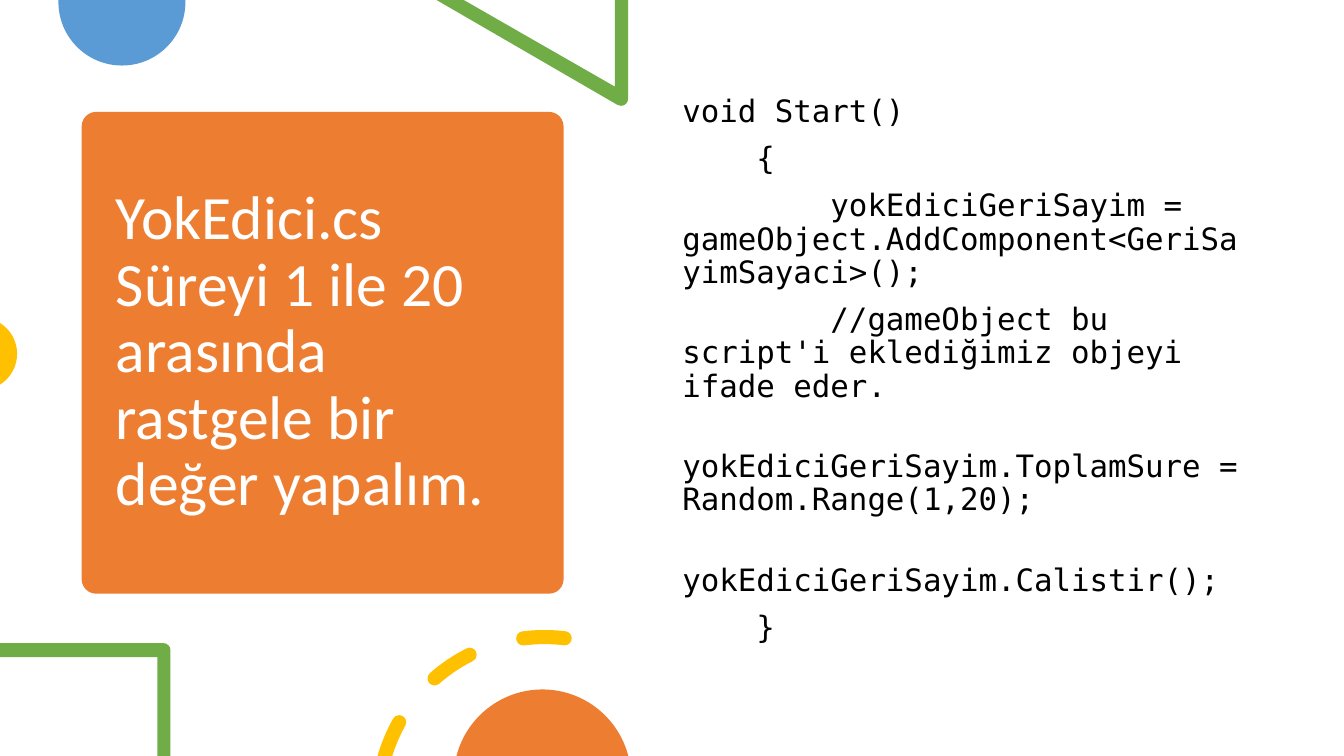
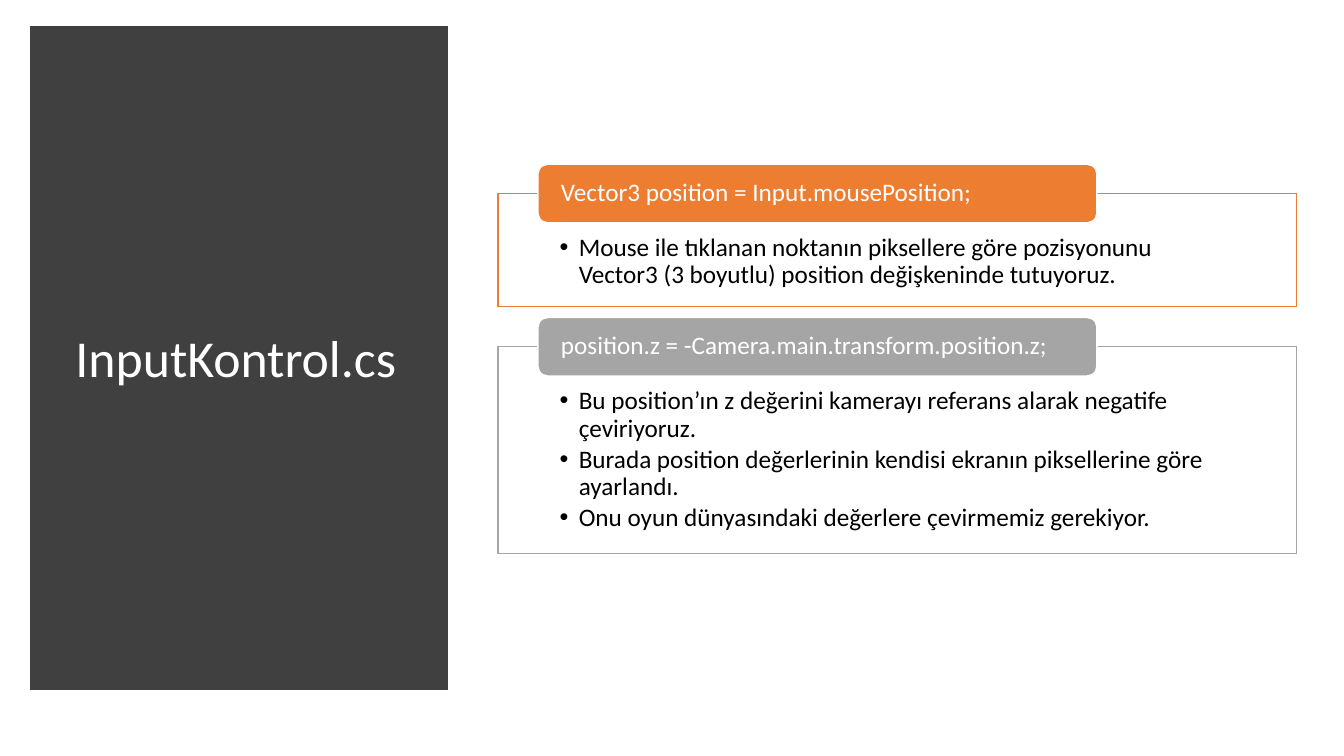
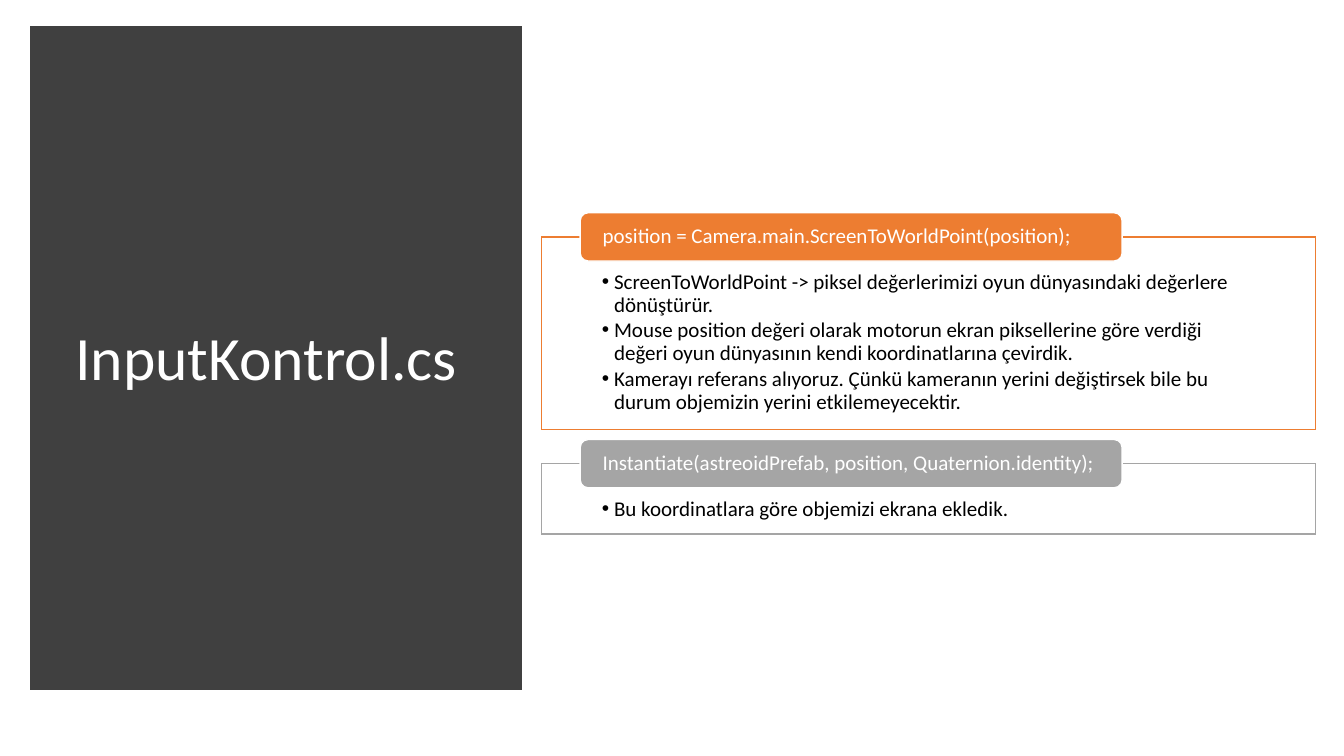
import math

from lxml import etree
from pptx import Presentation
from pptx.dml.color import RGBColor
from pptx.enum.shapes import MSO_SHAPE
from pptx.enum.text import MSO_ANCHOR, PP_ALIGN
from pptx.oxml.ns import qn
from pptx.util import Inches, Pt

RECTANGLE = MSO_SHAPE.RECTANGLE
ROUNDED = MSO_SHAPE.ROUNDED_RECTANGLE
TOP, MIDDLE = MSO_ANCHOR.TOP, MSO_ANCHOR.MIDDLE
LEFT = PP_ALIGN.LEFT

# Shared look
SLIDE_WIDTH, SLIDE_HEIGHT = 13.33, 7.5
WHITE, BLACK, CHARCOAL = "FFFFFF", "000000", "404040"
ORANGE, GRAY, BLUE, GREEN, YELLOW = "ED7D31", "A5A5A5", "5B9BD5", "70AD47", "FFC000"
BODY_FONT, CODE_FONT, BULLET_FONT = "Calibri", "DejaVu Sans Mono", "Arial"
DEFAULT_INSETS = (0.1, 0.05, 0.1, 0.05)
LINE_SPACING = 0.9

CODE_LINES = [
    "void Start()",
    "    {",
    "        yokEdiciGeriSayim = gameObject.AddComponent<GeriSayimSayaci>();",
    "        //gameObject bu script'i eklediğimiz objeyi ifade eder.",
    "        yokEdiciGeriSayim.ToplamSure = Random.Range(1,20);",
    "        yokEdiciGeriSayim.Calistir();",
    "    }",
]

# Each card: accent colour, body height, heading, bullets
MOUSE_CARDS = [
    (ORANGE, 1.12, "Vector3 position = Input.mousePosition;", [
        "Mouse ile tıklanan noktanın piksellere göre pozisyonunu Vector3 (3 boyutlu) "
        "position değişkeninde tutuyoruz.",
    ]),
    (GRAY, 2.05, "position.z = -Camera.main.transform.position.z;", [
        "Bu position’ın z değerini kamerayı referans alarak negatife çeviriyoruz.",
        "Burada position değerlerinin kendisi ekranın piksellerine göre ayarlandı.",
        "Onu oyun dünyasındaki değerlere çevirmemiz gerekiyor.",
    ]),
]
WORLD_CARDS = [
    (ORANGE, 1.91, "position = Camera.main.ScreenToWorldPoint(position);", [
        "ScreenToWorldPoint -> piksel değerlerimizi oyun dünyasındaki değerlere dönüştürür.",
        "Mouse position değeri olarak motorun ekran piksellerine göre verdiği değeri "
        "oyun dünyasının kendi koordinatlarına çevirdik.",
        "Kamerayı referans alıyoruz. Çünkü kameranın yerini değiştirsek bile bu durum "
        "objemizin yerini etkilemeyecektir.",
    ]),
    (GRAY, 0.7, "Instantiate(astreoidPrefab, position, Quaternion.identity);", [
        "Bu koordinatlara göre objemizi ekrana ekledik.",
    ]),
]


def color(value):
    return RGBColor.from_string(value)


def paint(shape, fill, line=None, line_width=1):
    """Give a shape a flat fill and an optional sharp-cornered outline."""
    shape.shadow.inherit = False
    shape.fill.solid()
    shape.fill.fore_color.rgb = color(fill)
    if line:
        shape.line.color.rgb = color(line)
        shape.line.width = Pt(line_width)
        outline = shape._element.spPr.find(qn("a:ln"))
        etree.SubElement(outline, qn("a:miter")).set("lim", "800000")
    else:
        shape.line.fill.background()


def add_box(slide, kind, box, fill, line=None, line_width=1):
    shape = slide.shapes.add_shape(kind, *map(Inches, box))
    paint(shape, fill, line, line_width)
    return shape


def write(shape, texts, size, text_color, font=BODY_FONT, anchor=TOP,
          insets=DEFAULT_INSETS, space_before=0, space_after=0, bullet_indent=0):
    """Fill a shape or text box with equally formatted paragraphs."""
    frame = shape.text_frame
    left, top, right, bottom = map(Inches, insets)
    frame_format = {
        "word_wrap": True, "vertical_anchor": anchor, "margin_left": left,
        "margin_top": top, "margin_right": right, "margin_bottom": bottom,
    }
    for name, value in frame_format.items():
        setattr(frame, name, value)
    for index, text in enumerate(texts):
        paragraph = frame.add_paragraph() if index else frame.paragraphs[0]
        paragraph.text = text
        paragraph_format = {
            "alignment": LEFT, "line_spacing": LINE_SPACING,
            "space_before": Pt(space_before if index else 0),
            "space_after": Pt(space_after),
        }
        for name, value in paragraph_format.items():
            setattr(paragraph, name, value)
        if bullet_indent:
            add_bullet(paragraph, bullet_indent)
        for run in paragraph.runs:
            for name, value in {"name": font, "size": Pt(size)}.items():
                setattr(run.font, name, value)
            run.font.color.rgb = color(text_color)


def add_bullet(paragraph, indent):
    properties = paragraph._p.get_or_add_pPr()
    properties.set("marL", str(Inches(indent)))
    properties.set("indent", str(-Inches(indent)))
    etree.SubElement(properties, qn("a:buFont")).set("typeface", BULLET_FONT)
    etree.SubElement(properties, qn("a:buChar")).set("char", "•")


def add_text(slide, box, texts, size, text_color, **options):
    write(slide.shapes.add_textbox(*map(Inches, box)), texts, size, text_color, **options)


# Outlines: a contour is a list of segments, each one point (a line)
# or two control points and an end point (a curve)
def lines(*points):
    return [[point] for point in points]


def arc(center, radius, start, end):
    """A line to the start of an arc, then curves split at each quarter turn.

    Degrees run counterclockwise from the right.
    """
    low, high = sorted((start, end))
    quarters = [angle for angle in range(-360, 721, 90) if low < angle < high]
    stops = sorted([start, *quarters, end], reverse=start > end)

    def at(angle, along=0):
        cosine, sine = math.cos(math.radians(angle)), math.sin(math.radians(angle))
        return (center[0] + radius * (cosine - along * sine),
                center[1] - radius * (sine + along * cosine))

    segments = lines(at(start))
    for first, last in zip(stops, stops[1:]):
        reach = 4 / 3 * math.tan(math.radians(last - first) / 4)
        segments.append([at(first, reach), at(last, -reach), at(last)])
    return segments


def ring_dash(center, radius, thickness, start, end, cut=None):
    """A round-ended piece of a ring; cut gives outer and inner ends instead of a cap."""
    half = thickness / 2
    outer_end, inner_end = cut or (end, end)
    [first_end], [last_end] = arc(center, radius, start, start)[0], arc(center, radius, end, end)[0]
    outer = arc(center, radius + half, start, outer_end)
    inner = arc(center, radius - half, inner_end, start)
    if not cut:
        inner = arc(last_end, half, end, end + 180)[1:] + inner[1:]
    return outer + inner + arc(first_end, half, start + 180, start + 360)[1:]


def add_outline(slide, fill, *contours):
    """Draw closed contours as one shape."""
    builder = None
    for contour in contours:
        points = [tuple(map(Inches, point)) for segment in contour for point in segment]
        if builder is None:
            builder = slide.shapes.build_freeform(*points[0], scale=1.0)
        else:
            builder.move_to(*points[0])
        builder.add_line_segments(points[1:], close=True)
    shape = builder.convert_to_shape()
    paint(shape, fill)
    # Merge the three points of each curve into one curve element
    steps = iter(list(shape._element.iter(qn("a:lnTo"))))
    for contour in contours:
        for segment in contour[1:]:
            step = next(steps)
            if len(segment) == 3:
                step.tag = qn("a:cubicBezTo")
                for extra in (next(steps), next(steps)):
                    step.append(extra[0])
                    extra.getparent().remove(extra)


def add_decorations_above(slide):
    add_outline(slide, BLUE, lines((1.84, 0), (0.58, 0)) + arc((1.21, 0.02), 0.63, 180, 360))
    add_outline(slide, GREEN,
                lines((6.23, 0), (6.1, 0), (6.1, 0.86), (4.6, 0), (4.33, 0))
                + arc((6.16, 0.98), 0.07, 240, 360))
    add_outline(slide, YELLOW, arc((-0.19, 3.51), 0.36, -58, 58))


def add_decorations_below(slide):
    add_outline(slide, GREEN,
                lines((0, 6.38), (0, 6.52), (1.56, 6.52), (1.56, 7.5), (1.69, 7.5))
                + arc((1.62, 6.45), 0.07, 0, 90))
    dashes = [(150.8, 163.4, (164.1, 162.7)), (116.7, 131.3), (83, 97.3)]
    add_outline(slide, YELLOW,
                *[ring_dash((5.4, 7.97), 1.65, 0.14, *dash) for dash in dashes])
    add_outline(slide, ORANGE, arc((5.38, 7.72), 0.88, 14.5, 165.5))


# Slides
def add_blank_slide(presentation):
    return presentation.slides.add_slide(presentation.slide_layouts[6])


def add_code_slide(presentation):
    slide = add_blank_slide(presentation)
    card = add_box(slide, ROUNDED, (0.81, 1.11, 4.78, 4.78), ORANGE)
    card.adjustments[0] = 0.03
    title = "YokEdici.cs\nSüreyi 1 ile 20 arasında rastgele bir değer yapalım."
    add_text(slide, (1.05, 1.22, 4.31, 4.56), [title], 44, WHITE, anchor=MIDDLE)
    add_decorations_above(slide)
    add_text(slide, (6.67, 0.9, 5.75, 5.35), CODE_LINES, 22, BLACK,
             font=CODE_FONT, space_before=10)
    add_decorations_below(slide)


def add_cards(slide, cards, left, top, width, tag_height, gap, size, insets, indent):
    """Stack outlined cards, each with a heading tag astride its top edge."""
    for accent, height, heading, bullets in cards:
        body = add_box(slide, RECTANGLE, (left, top, width, height), WHITE, accent)
        write(body, bullets, size, BLACK, insets=insets,
              space_after=0.15 * size, bullet_indent=indent)
        tag_box = (left + 0.05 * width, top - tag_height / 2, 0.7 * width, tag_height)
        tag = add_box(slide, ROUNDED, tag_box, accent, WHITE)
        write(tag, [heading], size, WHITE, anchor=MIDDLE, insets=(0.2, 0, 0.2, 0))
        top += height + gap


def add_panel_slide(presentation, panel_width, title_width, title_size, cards, **layout):
    slide = add_blank_slide(presentation)
    add_box(slide, RECTANGLE, (0.37, 0.33, panel_width, 6.45), CHARCOAL, CHARCOAL, 10)
    add_text(slide, (0.65, 0.7, title_width, 5.75), ["InputKontrol.cs"], title_size, WHITE,
             anchor=MIDDLE)
    add_cards(slide, cards, **layout)


def main():
    presentation = Presentation()
    presentation.slide_width = Inches(SLIDE_WIDTH)
    presentation.slide_height = Inches(SLIDE_HEIGHT)
    add_code_slide(presentation)
    add_panel_slide(presentation, 4, 3.46, 37, MOUSE_CARDS,
                    left=4.94, top=1.92, width=7.92, tag_height=0.58, gap=0.4,
                    size=18, insets=(0.61, 0.41, 0.61, 0.14), indent=0.19)
    add_panel_slide(presentation, 4.74, 4.16, 44, WORLD_CARDS,
                    left=5.37, top=2.35, width=7.68, tag_height=0.48, gap=0.34,
                    size=15, insets=(0.6, 0.34, 0.6, 0.12), indent=0.12)
    presentation.save("out.pptx")


if __name__ == "__main__":
    main()
